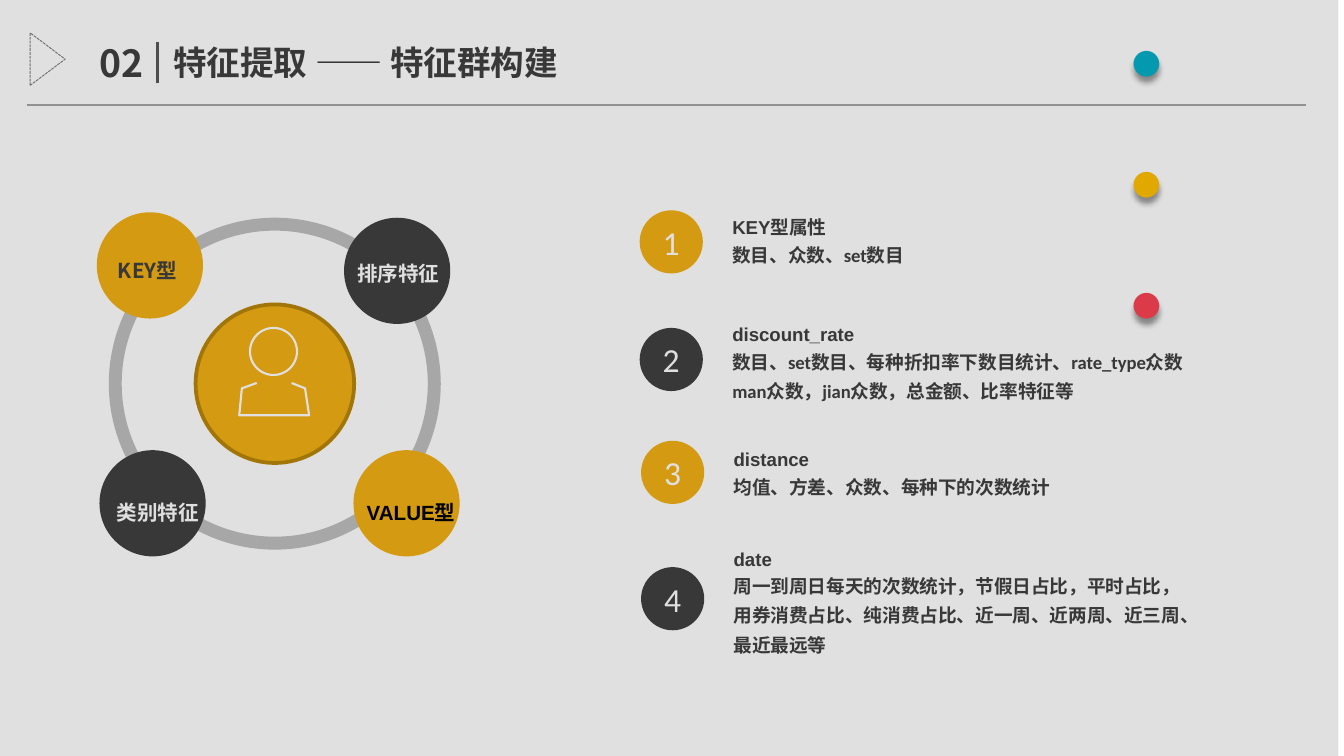
from lxml import etree
from pptx import Presentation
from pptx.dml.color import RGBColor
from pptx.enum.dml import MSO_LINE
from pptx.enum.shapes import MSO_CONNECTOR, MSO_SHAPE
from pptx.enum.text import MSO_ANCHOR, PP_ALIGN
from pptx.oxml.ns import qn
from pptx.util import Inches, Pt

OVAL, DONUT, RECT = MSO_SHAPE.OVAL, MSO_SHAPE.DONUT, MSO_SHAPE.RECTANGLE
MERGE = MSO_SHAPE.FLOWCHART_MERGE
STRAIGHT = MSO_CONNECTOR.STRAIGHT
DASH = MSO_LINE.SQUARE_DOT
LEFT, CENTER, RIGHT = PP_ALIGN.LEFT, PP_ALIGN.CENTER, PP_ALIGN.RIGHT
JUSTIFY = PP_ALIGN.JUSTIFY
MIDDLE = MSO_ANCHOR.MIDDLE

WHITE = RGBColor(0xFF, 0xFF, 0xFF)
BLACK = RGBColor(0, 0, 0)
DARK = RGBColor(0x40, 0x40, 0x40)
GOLD = RGBColor(0xF1, 0xB0, 0x15)
DARK_GOLD = RGBColor(0xB9, 0x86, 0x0B)
RING_GREY = RGBColor(0xBF, 0xBF, 0xBF)
RULE_GREY = RGBColor(0xA6, 0xA6, 0xA6)
BAR_GREY = RGBColor(0x59, 0x59, 0x59)
MID_GREY = RGBColor(0x80, 0x80, 0x80)
TEAL = RGBColor(0x05, 0xAF, 0xC8)
YELLOW = RGBColor(0xFF, 0xC0, 0x00)
RED = RGBColor(0xFA, 0x44, 0x53)

CJK, SANS, BODY = "Noto Sans CJK SC", "Arial", "Calibri"
COLUMNS, ROWS = 100, 56.25


def cells(count):
    """Length of a number of grid cells, 100 of which span the slide."""
    return Inches(10 * count / COLUMNS)


def style_outline(figure, fill, line, weight):
    figure.shadow.inherit = False
    if fill is None:
        figure.fill.background()
    else:
        figure.fill.solid()
        figure.fill.fore_color.rgb = fill
    if line is None:
        figure.line.fill.background()
    else:
        figure.line.color.rgb = line
        figure.line.width = Pt(weight)


def add_figure(slide, kind, x, y, w, h, fill=None, line=None, weight=1):
    figure = slide.shapes.add_shape(kind, *map(cells, (x, y, w, h)))
    style_outline(figure, fill, line, weight)
    return figure


def add_shadow(shape, color, opacity, blur, distance):
    """Shadow falling straight down; blur and distance are in points."""
    effects = etree.SubElement(shape._element.spPr, qn("a:effectLst"))
    shadow = etree.SubElement(
        effects, qn("a:outerShdw"), blurRad=str(Pt(blur)), dist=str(Pt(distance)),
        dir="5400000", algn="t", rotWithShape="0")
    shade = etree.SubElement(shadow, qn("a:srgbClr"), val=str(color))
    etree.SubElement(shade, qn("a:alpha"), val=str(opacity * 1000))


def add_run(paragraph, words, size, font, color, bold=True):
    run = paragraph.add_run()
    run.text = words
    run.font.size, run.font.name, run.font.bold = Pt(size), font, bold
    run.font.color.rgb = color
    east_asian = etree.SubElement(run.font._element, qn("a:ea"))
    east_asian.set("typeface", CJK)


def add_label(slide, x, y, w, h, lines, size, font, color, spacing=None, align=LEFT):
    frame = slide.shapes.add_textbox(*map(cells, (x, y, w, h))).text_frame
    frame.word_wrap = True
    for index, words in enumerate(lines):
        paragraph = frame.add_paragraph() if index else frame.paragraphs[0]
        paragraph.alignment = align
        if spacing:
            paragraph.line_spacing = spacing
        add_run(paragraph, words, size, font, color)


def add_rule(slide, x1, y1, x2, y2, color, weight):
    rule = slide.shapes.add_connector(STRAIGHT, *map(cells, (x1, y1, x2, y2)))
    rule.line.color.rgb = color
    rule.line.width = Pt(weight)
    add_shadow(rule, WHITE, 100, 1, 1)


def add_person(slide, x, y):
    """Outline of a head and shoulders."""
    add_figure(slide, OVAL, x + 0.8, y, 3.5, 3.5, line=WHITE, weight=1.13)
    outline = [(3.9, 4.1), (4.9, 4.5), (5.2, 6.5), (0, 6.5), (0.2, 4.5), (1.3, 4.1)]
    points = [(cells(x + dx), cells(y + dy)) for dx, dy in outline]
    builder = slide.shapes.build_freeform(*points[0], scale=1.0)
    builder.add_line_segments(points[1:], close=False)
    style_outline(builder.convert_to_shape(), None, WHITE, 1.13)


def add_feature_wheel(slide, x, y, size):
    ring = add_figure(slide, DONUT, x, y, size, size, RING_GREY)
    ring.adjustments[0] = 0.039
    satellites = [
        (-0.9, -0.4, GOLD), (17.5, 0, DARK), (18.2, 17.3, GOLD), (-0.7, 17.3, DARK),
    ]
    for dx, dy, fill in satellites:
        add_figure(slide, OVAL, x + dx, y + dy, 7.9, 7.9, fill)
    hub = 11.8
    inset = (size - hub) / 2
    add_figure(slide, OVAL, x + inset, y + inset, hub, hub, GOLD, DARK_GOLD, 2)
    add_person(slide, x + 9.7, y + 8.2)
    captions = [
        ("KEY型", -0.3, 1.6, 8, CJK, DARK), ("VALUE型", 18.2, 19.6, 9, SANS, BLACK),
        ("排序特征", 17.5, 1.8, 8.3, SANS, WHITE),
        ("类别特征", -0.4, 19.6, 8.3, SANS, WHITE),
    ]
    for words, dx, dy, width, font, color in captions:
        add_label(slide, x + dx, y + dy, width, 3.8, [words], 11, font, color, 1.5)


def add_feature(slide, x, y, number, drop, fill, heading, details, depth):
    """Numbered circle, drop rows below the top of its heading and details."""
    circle = add_figure(slide, OVAL, x, y + drop, 4.7, 4.7, fill)
    frame = circle.text_frame
    frame.vertical_anchor = MIDDLE
    frame.margin_left = frame.margin_right = 0
    frame.paragraphs[0].alignment = CENTER
    add_run(frame.paragraphs[0], str(number), 18, BODY, WHITE, bold=False)
    add_label(slide, x + 5.9, y, 24.9, 3.2, [heading], 10, SANS, DARK, 1.5)
    add_label(slide, x + 5.9, y + 2.4, 35.9, depth, details, 10, BODY, DARK, 1.3)


def add_feature_list(slide, x):
    features = [
        (0, 14.75, 0.9, 3, "KEY型属性", ["数目、众数、set数目"]),
        (0, 22.7, 1.7, 5.4, "discount_rate",
         ["数目、set数目、每种折扣率下数目统计、rate_type众数",
          "man众数，jian众数，总金额、比率特征等"]),
        (0.1, 32, 0.8, 3, "distance", ["均值、方差、众数、每种下的次数统计"]),
        (0.1, 39.4, 2.8, 7.6, "date",
         ["周一到周日每天的次数统计，节假日占比，平时占比，用券消费占比、"
          "纯消费占比、近一周、近两周、近三周、最近最远等"]),
    ]
    for number, (dx, y, drop, depth, heading, details) in enumerate(features, 1):
        fill = GOLD if number % 2 else DARK
        add_feature(slide, x + dx, y, number, drop, fill, heading, details, depth)


def add_header(slide, x, y):
    add_rule(slide, x, y + 5.3, x + 95.2, y + 5.3, RULE_GREY, 0.75)
    add_rule(slide, x + 9.7, y + 3.7, x + 9.7, y + 0.6, BAR_GREY, 1.5)
    add_label(slide, x + 1.1, y, 8.6, 4.4, ["02"], 20, CJK, DARK, align=RIGHT)
    add_label(slide, x + 9.9, y + 0.1, 35.8, 4, ["特征提取 —— 特征群构建"], 18, CJK, DARK)
    marker = add_figure(slide, MERGE, x - 0.4, y + 0.6, 3.9, 2.6, line=MID_GREY, weight=0.5)
    marker.rotation = 270
    marker.line.dash_style = DASH


def add_colour_dots(slide, x, y, w, h):
    dots = slide.shapes.add_textbox(*map(cells, (x, y, w, h)))
    add_shadow(dots, BLACK, 40, 3, 3)
    dots.text_frame.word_wrap = True
    paragraph = dots.text_frame.paragraphs[0]
    paragraph.alignment = JUSTIFY
    for dot, color in (("· ", TEAL), ("· ", YELLOW), ("·", RED)):
        add_run(paragraph, dot, 54, CJK, color)


def add_veil(slide, x, y, w, h):
    """Translucent black sheet that dims the whole slide."""
    veil = add_figure(slide, RECT, x, y, w, h, BLACK)
    color = veil._element.spPr.find(qn("a:solidFill"))[0]
    etree.SubElement(color, qn("a:alpha"), val="12000")


def main():
    deck = Presentation()
    deck.slide_width, deck.slide_height = cells(COLUMNS), cells(ROWS)
    slide = deck.slides.add_slide(deck.slide_layouts[6])
    add_feature_wheel(slide, 8.1, 16.2, 24.7)
    add_feature_list(slide, 47.6)
    add_header(slide, 2, 2.5)
    add_colour_dots(slide, 80.6, -0.35, 16.5, 10.1)
    add_veil(slide, -0.4, -0.4, COLUMNS, 57.7)
    deck.save("out.pptx")


if __name__ == "__main__":
    main()
